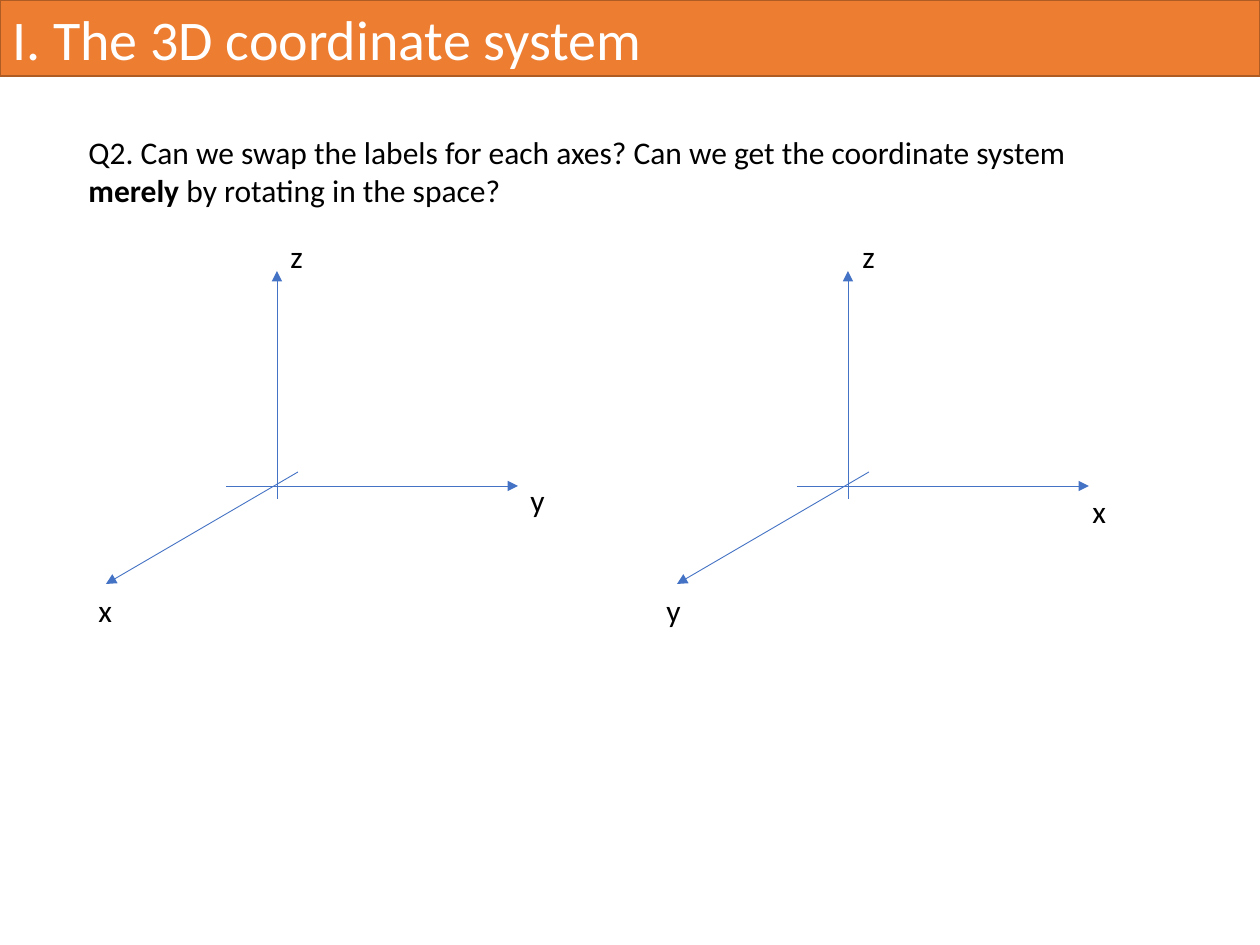
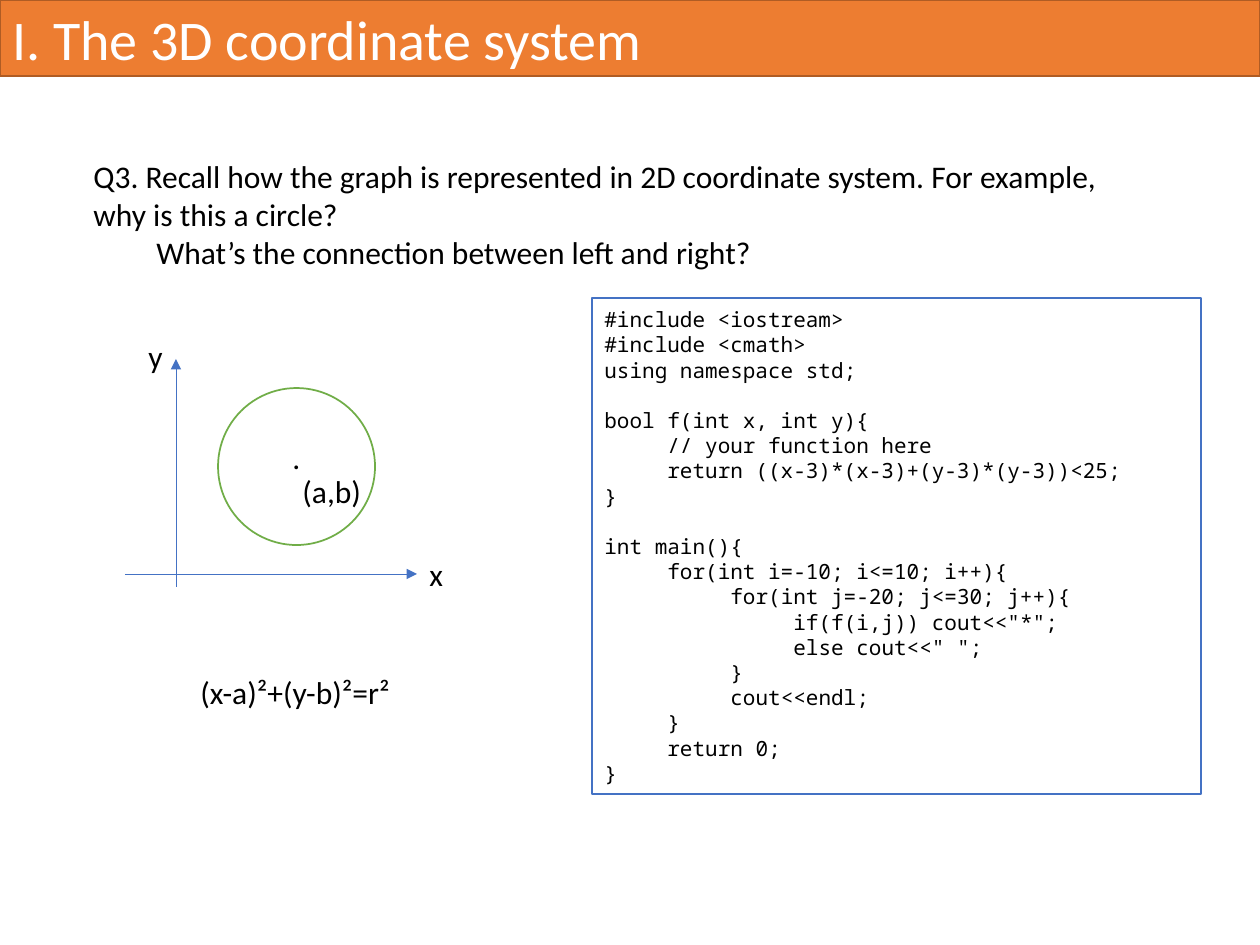
"""Builds two slides on the 3D coordinate system."""
from lxml import etree
from pptx import Presentation, util as u
from pptx.dml import color
from pptx.enum import shapes, text
from pptx.oxml import ns

HUE = {"band": "ED7D31", "edge": "AF5C24", "axis": "4472C4",
       "ring": "70AD47", "ink": "000000", "white": "FFFFFF"}
RGB = {name: color.RGBColor.from_string(code) for name, code in HUE.items()}
PX = 914400 / 126
TAB = 63
RECT = shapes.MSO_SHAPE.RECTANGLE
OVAL = shapes.MSO_SHAPE.OVAL
ARMS = {"up": (0, 13, 0, -215), "out": (21, -14, -171, 98), "right": (-51, 0, 241, 0)}


def box(slide, at, words="", size=18, font="Calibri", ink="ink",
        kind=None, fill="white", line="axis", wrap=True):
    spot = [round(v * PX) for v in at]
    if kind is None:
        shape = slide.shapes.add_textbox(*spot)
    else:
        shape = slide.shapes.add_shape(kind, *spot)
        shape.shadow.inherit = False
        shape.fill.solid()
        shape.fill.fore_color.rgb = RGB[fill]
        shape.line.color.rgb = RGB[line]
        shape.line.width = u.Pt(1)
    if not words:
        return
    frame = shape.text_frame
    frame.word_wrap = wrap
    if kind is None:
        frame.auto_size = text.MSO_AUTO_SIZE.SHAPE_TO_FIT_TEXT
    gap = 0
    para = None
    for row in words.split("\n"):
        if not row:
            gap = size * 1.2
            continue
        para = frame.add_paragraph() if para else frame.paragraphs[0]
        para.alignment = text.PP_ALIGN.LEFT
        if gap:
            para.space_before = u.Pt(gap)
            gap = 0
        body = row.lstrip("\t")
        depth = len(row) - len(body)
        if depth:
            props = para._p.get_or_add_pPr()
            props.set("marL", str(round(depth * TAB * PX)))
            props.set("indent", "0")
        for i, part in enumerate(body.split("**")):
            run = para.add_run()
            run.text = part
            run.font.size = u.Pt(size)
            run.font.name = font
            run.font.bold = i % 2 == 1
            run.font.color.rgb = RGB[ink]


def axes(slide, left, top, arms, tags):
    for arm in arms:
        x1, y1, x2, y2 = ARMS[arm]
        ends = [round(v * PX) for v in (left + x1, top + y1, left + x2, top + y2)]
        line = slide.shapes.add_connector(shapes.MSO_CONNECTOR.STRAIGHT, *ends)
        line.line.color.rgb = RGB["axis"]
        line.line.width = u.Pt(0.5)
        etree.SubElement(line.line._get_or_add_ln(), ns.qn("a:tailEnd"), type="triangle")
        etree.SubElement(line._element.spPr, ns.qn("a:effectLst"))
    for tag, x, y in tags:
        box(slide, (left + x, top + y, 39, 50), tag, wrap=False)


deck = Presentation()
deck.slide_width = round(1260 * PX)
deck.slide_height = round(945 * PX)
pages = [deck.slides.add_slide(deck.slide_layouts[6]) for _ in range(2)]
for page in pages:
    box(page, (0, 0, 1260, 76), "I. The 3D coordinate system", 32,
        ink="white", kind=RECT, fill="band", line="edge")
swap, graph = pages

axes(swap, 277, 486, ARMS, [("z", 1, -255), ("x", -191, 99), ("y", 241, -11)])
axes(swap, 848, 486, ARMS, [("z", 2, -255), ("x", 232, 0), ("y", -194, 99)])
box(swap, (76, 127, 1091, 89),
    "Q2. Can we swap the labels for each axes? Can we get the coordinate system "
    "**merely **by rotating in the space?")

box(graph, (81, 151, 1062, 127),
    "Q3. Recall how the graph is represented in 2D coordinate system. "
    "For example, why is this a circle?\n"
    "\tWhat’s the connection between left and right?")
axes(graph, 176, 574, ["up", "right"], [("x", 241, -25), ("y", -40, -243)])
box(graph, (218, 388, 157, 157), kind=OVAL, line="ring")
for words, at in [("(x-a)²+(y-b)²=r²", (188, 667, 217, 50)),
                  (".", (280, 432, 34, 50)),
                  ("(a,b)", (290, 466, 84, 50))]:
    box(graph, at, words, wrap=False)

CODE = """#include <iostream>
#include <cmath>
using namespace std;

bool f(int x, int y){
\t// your function here
\treturn ((x-3)*(x-3)+(y-3)*(y-3))<25;
}

int main(){
\tfor(int i=-10; i<=10; i++){
\t\tfor(int j=-20; j<=30; j++){
\t\t\tif(f(i,j)) cout<<"*";
\t\t\telse cout<<" ";
\t\t}
\t\tcout<<endl;
\t}
\treturn 0;
}"""
box(graph, (592, 298, 609, 496), CODE, 12, "Noto Sans Mono", kind=RECT)

deck.save("out.pptx")
